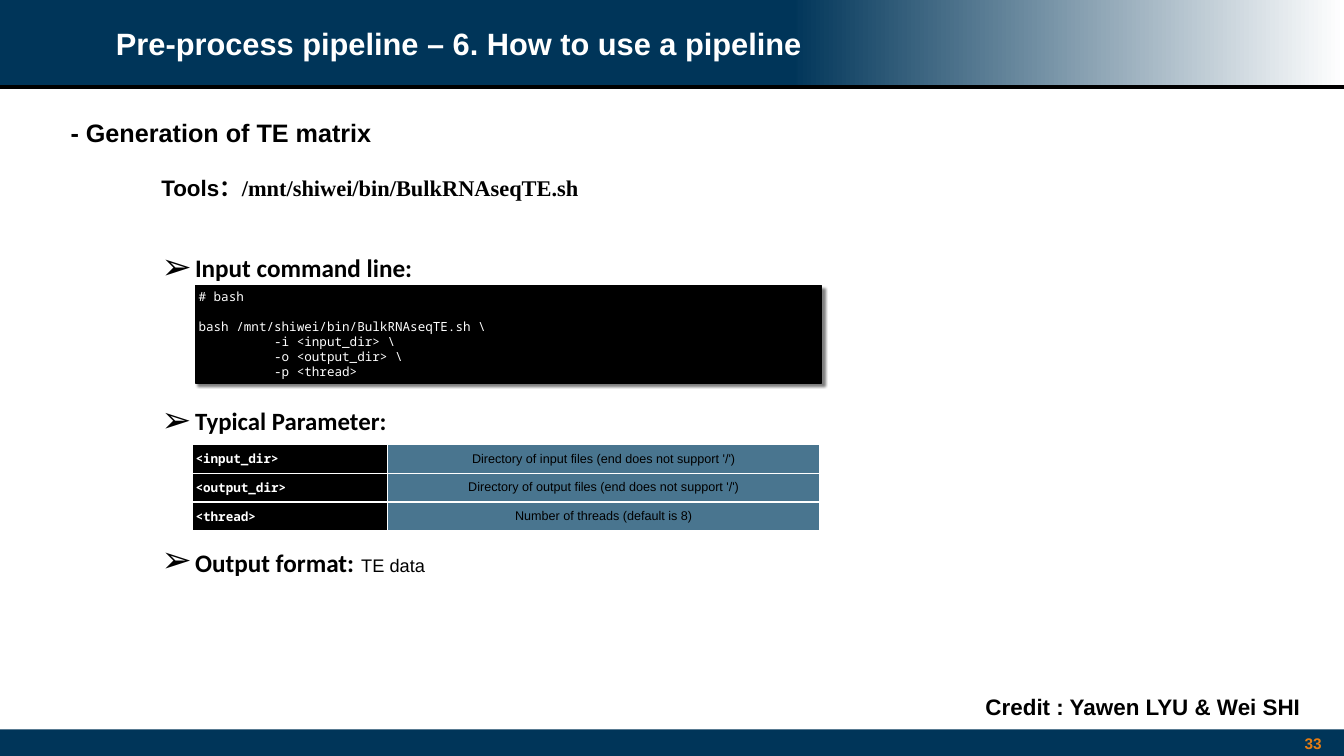
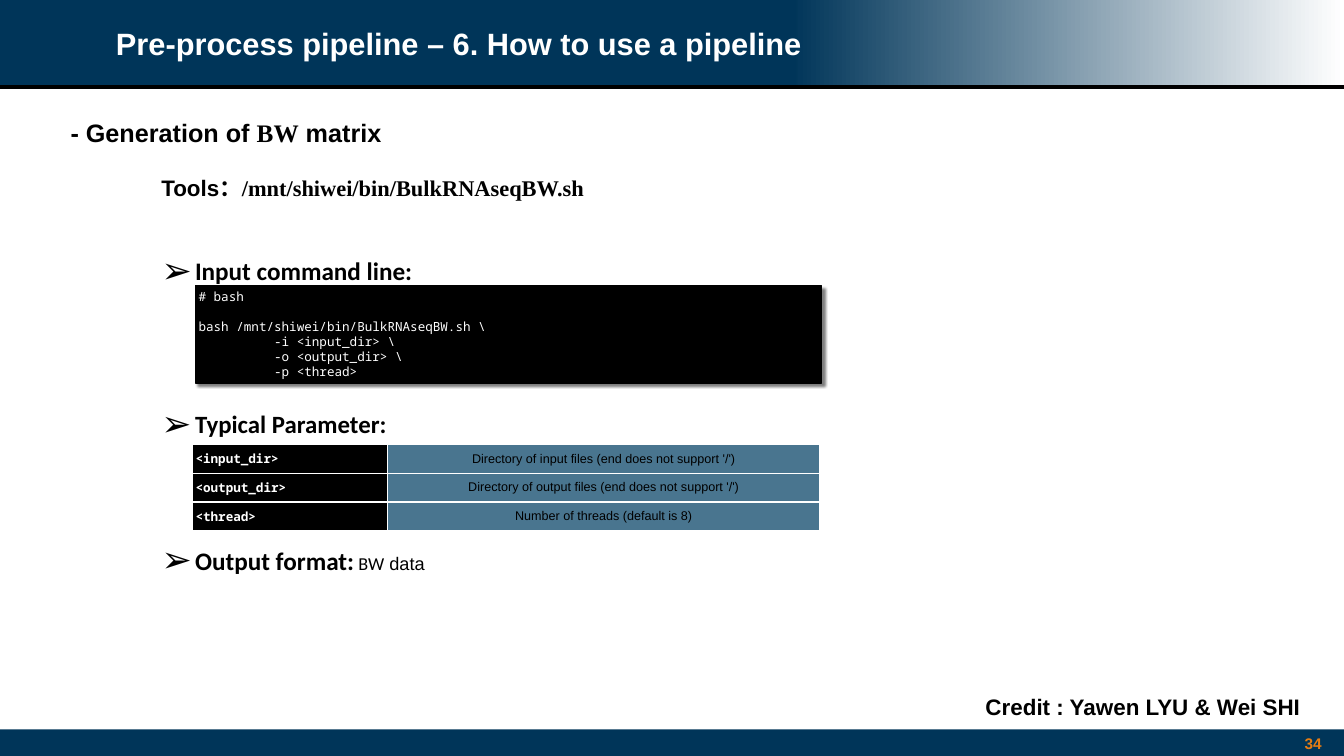
from lxml.etree import SubElement
from pptx import Presentation
from pptx.dml.color import RGBColor
from pptx.enum.shapes import MSO_CONNECTOR, MSO_SHAPE
from pptx.enum.text import MSO_ANCHOR, MSO_AUTO_SIZE, PP_ALIGN
from pptx.oxml.ns import qn
from pptx.util import Inches, Pt

COLORS = {"navy": "003559", "steel": "49758F", "black": "000000",
          "white": "FFFFFF", "orange": "E67D13"}
SANS, HEAD, SERIF, MONO = "Arial", "Calibri", "Times New Roman", "Noto Sans Mono"
TITLE = "Pre-process pipeline – 6. How to use a pipeline"
CREDIT = "Credit : Yawen LYU & Wei SHI"
PARAMS = [("<input_dir>", "Directory of input files (end does not support '/')"),
          ("<output_dir>", "Directory of output files (end does not support '/')"),
          ("<thread>", "Number of threads (default is 8)")]
TOPICS = [
    dict(page=33, kind="TE", font=SANS,
         result=[(" ", HEAD, 44, True), ("TE data", SANS, 26, False)]),
    dict(page=34, kind="BW", font=SERIF,
         result=[(" BW", HEAD, 26, False), (" data", SANS, 26, False)]),
]


def rgb(name):
    return RGBColor.from_string(COLORS[name])


def inches(box):
    return [Inches(v) for v in box]


def style(font, name, size, color="black", bold=True):
    font.name, font.size, font.bold = name, Pt(size), bold
    font.color.rgb = rgb(color)


def frame(shape, pad=0.08, anchor=MSO_ANCHOR.TOP, wrap=True):
    """Set the margins and anchor of a shape's text, and return its frame."""
    text = shape.text_frame
    text.word_wrap, text.auto_size = wrap, MSO_AUTO_SIZE.NONE
    text.vertical_anchor = anchor
    text.margin_left = text.margin_right = Inches(pad)
    text.margin_top = text.margin_bottom = Inches(pad)
    return text


def place(shape, box):
    shape.left, shape.top, shape.width, shape.height = inches(box)


def add_run(para, text, name, size, bold=True):
    run = para.add_run()
    run.text = text
    style(run.font, name, size, bold=bold)


def add_label(slide, box, text, size, color="black", align=PP_ALIGN.CENTER, **kw):
    para = frame(slide.shapes.add_textbox(*inches(box)), **kw).paragraphs[0]
    para.text, para.alignment = text, align
    style(para.font, SANS, size, color)


def add_rect(slide, box, color):
    rect = slide.shapes.add_shape(MSO_SHAPE.RECTANGLE, *inches(box))
    rect.shadow.inherit = False
    rect.fill.solid()
    rect.fill.fore_color.rgb = rgb(color)
    rect.line.fill.background()
    return rect


def build_bands(slide, master):
    """Draw the header and footer bands once and move them to the master."""
    fade = add_rect(slide, (15.67, 0, 11, 1.72), "navy")
    fade.fill.gradient()
    fade.fill.gradient_angle = 180
    for stop, color in zip(fade.fill.gradient_stops, ("white", "navy")):
        stop.color.rgb = rgb(color)
    head = add_rect(slide, (0, 0, 15.8, 1.72), "navy")
    rule = slide.shapes.add_connector(MSO_CONNECTOR.STRAIGHT,
                                      *inches((0, 1.73, 26.67, 1.73)))
    rule.line.color.rgb, rule.line.width = rgb("black"), Pt(5)
    SubElement(rule.element.spPr, qn("a:effectLst"))
    foot = add_rect(slide, (0, 14.47, 26.67, 0.53), "navy")
    for part in (fade, head, rule, foot):
        master.shapes.element.append(part.element)


def add_title(slide, box):
    title = slide.shapes.title
    place(title, box)
    para = frame(title, anchor=MSO_ANCHOR.MIDDLE).paragraphs[0]
    para.text, para.alignment = TITLE, PP_ALIGN.LEFT
    style(para.font, SANS, 44, "white")


def add_intro(slide, left, top, topic):
    """Write the subject line and, indented below it, the tool's location."""
    subject = slide.shapes.add_textbox(*inches((left, top, 6.75, 0.76)))
    para = frame(subject).paragraphs[0]
    for text, name in (("- Generation of ", SANS), (topic["kind"], topic["font"]),
                       (" matrix", SANS)):
        add_run(para, text, name, 36)
    tool = slide.shapes.add_textbox(*inches((left + 1.8, top + 1.13, 14.58, 0.69)))
    para = frame(tool, anchor=MSO_ANCHOR.MIDDLE).paragraphs[0]
    add_run(para, "Tools：", SANS, 32)
    add_run(para, f"/mnt/shiwei/bin/BulkRNAseq{topic['kind']}.sh", SERIF, 32)


def add_arrow(para):
    """Give the paragraph a hanging arrow bullet."""
    props = para._p.get_or_add_pPr()
    props.set("marL", str(Inches(0.67)))
    props.set("indent", str(-Inches(0.67)))
    SubElement(props, qn("a:buSzPct"), val="145000")
    SubElement(props, qn("a:buFont"), typeface=SANS)
    SubElement(props, qn("a:buChar"), char="➢")


def add_steps(slide, box, result):
    body = slide.placeholders[1]
    place(body, box)
    text = frame(body, anchor=MSO_ANCHOR.MIDDLE)
    steps = [("Input command line:", 36, 0), ("Typical Parameter:", 35.5, 176),
             ("Output format:", 36, 152)]
    for i, (step, size, gap) in enumerate(steps):
        para = text.paragraphs[0] if i == 0 else text.add_paragraph()
        add_arrow(para)
        para.space_before = Pt(gap)
        add_run(para, step, HEAD, size)
    for part in result:
        add_run(para, *part)


def add_code(slide, box, kind):
    panel = add_rect(slide, box, "black")
    panel.line.color.rgb, panel.line.width = rgb("black"), Pt(2)
    effects = panel.element.spPr.find(qn("a:effectLst"))
    shade = SubElement(effects, qn("a:outerShdw"), blurRad=str(Pt(4)),
                       dist=str(Pt(5)), dir=str(45 * 60000), algn="tl")
    color = SubElement(shade, qn("a:srgbClr"), val=COLORS["black"])
    SubElement(color, qn("a:alpha"), val="50000")
    lines = ["# bash", "", f"bash /mnt/shiwei/bin/BulkRNAseq{kind}.sh \\",
             "          -i <input_dir> \\", "          -o <output_dir> \\",
             "          -p <thread>"]
    text = frame(panel, 0.06)
    text.text = "\n".join(lines)
    for para in text.paragraphs:
        para.alignment = PP_ALIGN.LEFT
        style(para.font, MONO, 18, "white", False)


def fill_cell(cell, text, fill, name, color, bold, align):
    props = cell._tc.get_or_add_tcPr()
    for side in ("lnL", "lnR", "lnT", "lnB"):
        line = SubElement(props, qn(f"a:{side}"), w=str(Pt(2)))
        paint = SubElement(line, qn("a:solidFill"))
        SubElement(paint, qn("a:srgbClr"), val=COLORS["white"])
    cell.fill.solid()
    cell.fill.fore_color.rgb = rgb(fill)
    cell.vertical_anchor = MSO_ANCHOR.MIDDLE
    cell.margin_left = cell.margin_right = Inches(0.06)
    cell.margin_top = cell.margin_bottom = Inches(0.06)
    para = cell.text_frame.paragraphs[0]
    para.text, para.alignment = text, align
    style(para.font, name, 18, color, bold)


def add_params(slide, box):
    table = slide.shapes.add_table(len(PARAMS), 2, *inches(box)).table
    table.first_row = table.horz_banding = False
    table.columns[0].width = Inches(3.87)
    table.columns[1].width = Inches(box[2] - 3.87)
    for i, (name, note) in enumerate(PARAMS):
        fill_cell(table.cell(i, 0), name, "black", MONO, "white", True, PP_ALIGN.LEFT)
        fill_cell(table.cell(i, 1), note, "steel", SANS, "black", False, PP_ALIGN.CENTER)


def build_topic(slide, topic):
    add_title(slide, (2.22, 0, 22.22, 1.72))
    add_label(slide, (25.89, 14.49, 0.34, 0.52), str(topic["page"]), 22, "orange",
              wrap=False)
    add_intro(slide, 1.32, 2.24, topic)
    add_steps(slide, (3.12, 4.26, 19.33, 7.96), topic["result"])
    add_code(slide, (3.88, 5.67, 12.42, 1.93), topic["kind"])
    add_params(slide, (3.82, 8.82, 12.45, 1.71))
    add_label(slide, (19.12, 13.71, 7.12, 0.64), CREDIT, 32, pad=0.05)


def main():
    prs = Presentation()
    prs.slide_width, prs.slide_height = Inches(26.67), Inches(15)
    for i, topic in enumerate(TOPICS):
        slide = prs.slides.add_slide(prs.slide_layouts[1])
        if i == 0:
            build_bands(slide, prs.slide_master)
        build_topic(slide, topic)
    prs.save("out.pptx")


if __name__ == "__main__":
    main()
